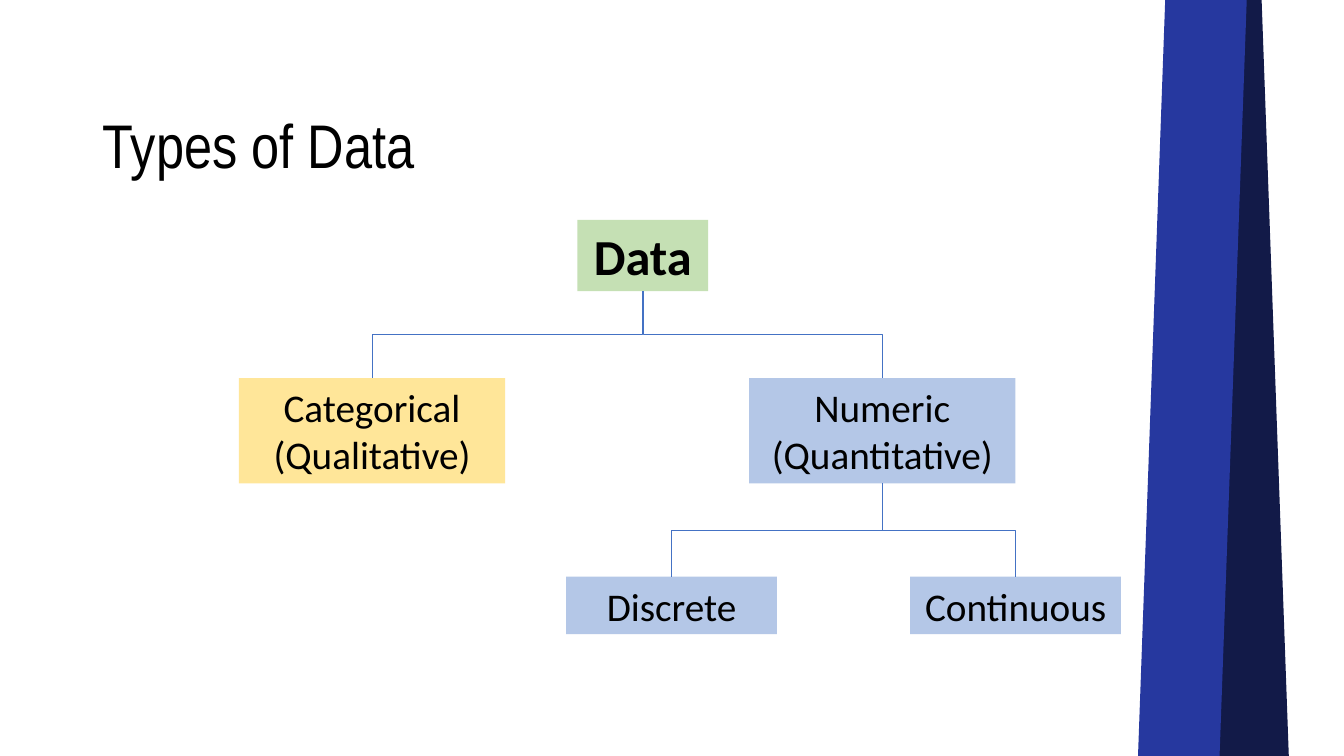
from pptx import Presentation
from pptx.dml.color import RGBColor
from pptx.enum.shapes import MSO_CONNECTOR as CONNECTOR, MSO_SHAPE as SHAPE
from pptx.enum.text import MSO_ANCHOR as ANCHOR, PP_ALIGN as ALIGN
from pptx.oxml.ns import qn
from pptx.oxml.xmlchemy import OxmlElement
from pptx.util import Cm, Pt

BLACK = RGBColor(0x00, 0x00, 0x00)
NAVY = RGBColor(0x12, 0x1A, 0x48)
ROYAL = RGBColor(0x26, 0x38, 0x9F)
GREEN = RGBColor(0xC5, 0xE0, 0xB4)
YELLOW = RGBColor(0xFF, 0xE6, 0x99)
BLUE = RGBColor(0xB4, 0xC7, 0xE7)
LINE = RGBColor(0x44, 0x72, 0xC4)

SLIDE_HEIGHT = Cm(19.05)
BRANCH_TOP, BRANCH_WIDTH, BRANCH_HEIGHT = 9.53, 6.71, 2.65
LEAF_TOP, LEAF_WIDTH, LEAF_HEIGHT = 14.53, 5.31, 1.45


def add_filled(slide, kind, left, top, width, height, color):
    filled = slide.shapes.add_shape(kind, left, top, width, height)
    filled.shadow.inherit = False
    filled.fill.solid()
    filled.fill.fore_color.rgb = color
    filled.line.fill.background()
    return filled


def add_ribbon(slide, left, color, mirrored=False):
    ribbon = add_filled(slide, SHAPE.PARALLELOGRAM, Cm(left), 0, Cm(2.74), SLIDE_HEIGHT, color)
    if mirrored:
        ribbon.rotation = 180
        ribbon._element.spPr.find(qn("a:xfrm")).set("flipH", "1")


def write_lines(frame, lines, font_name, size, bold=False, align=ALIGN.LEFT, spacing=None):
    frame.word_wrap = True
    frame.text = "\n".join(lines)
    for paragraph in frame.paragraphs:
        paragraph.alignment = align
        paragraph.line_spacing = spacing
        paragraph.font.name = font_name
        paragraph.font.size = Pt(size)
        paragraph.font.bold = bold
        paragraph.font.color.rgb = BLACK


def add_title(slide, title):
    heading = slide.shapes.add_textbox(Cm(2.34), Cm(1.02), Cm(29.21), Cm(3.68))
    write_lines(heading.text_frame, [title], "Arial Narrow", 44, spacing=0.9)
    heading.text_frame.vertical_anchor = ANCHOR.BOTTOM


def add_node(slide, lines, left, top, width, height, color, size=28, bold=False):
    node = add_filled(slide, SHAPE.RECTANGLE, Cm(left), Cm(top), Cm(width), Cm(height), color)
    write_lines(node.text_frame, lines, "Calibri", size, bold, ALIGN.CENTER)
    node.text_frame.vertical_anchor = ANCHOR.MIDDLE
    return node


def add_branch(slide, lines, left, color):
    return add_node(slide, lines, left, BRANCH_TOP, BRANCH_WIDTH, BRANCH_HEIGHT, color)


def add_leaf(slide, label, left):
    return add_node(slide, [label], left, LEAF_TOP, LEAF_WIDTH, LEAF_HEIGHT, BLUE)


def link(slide, parent, child):
    start_x, start_y = parent.left + parent.width // 2, parent.top + parent.height
    end_x, end_y = child.left + child.width // 2, child.top
    elbow = slide.shapes.add_connector(CONNECTOR.ELBOW, start_x, start_y, end_x, end_y)
    elbow.begin_connect(parent, 2)
    elbow.end_connect(child, 0)
    elbow.line.color.rgb = LINE
    elbow.line.width = Pt(0.5)
    properties = elbow._element.spPr
    properties.append(OxmlElement("a:effectLst"))

    drop, spread = end_y - start_y, abs(end_x - start_x)
    elbow.left = (start_x + end_x - drop) // 2
    elbow.top = (start_y + end_y - spread) // 2
    elbow.width, elbow.height = drop, spread
    transform = properties.find(qn("a:xfrm"))
    goes_right = end_x > start_x
    transform.set("rot", str((270 if goes_right else 90) * 60000))
    transform.set("flipH", "1" if goes_right else "0")


def main():
    deck = Presentation()
    deck.slide_width, deck.slide_height = Cm(33.87), SLIDE_HEIGHT
    slide = deck.slides.add_slide(deck.slide_layouts[6])

    add_ribbon(slide, 29.74, NAVY, mirrored=True)
    add_ribbon(slide, 28.68, ROYAL)
    add_title(slide, "Types of Data")

    data = add_node(slide, ["Data"], 14.55, 5.54, 3.3, 1.8, GREEN, size=36, bold=True)
    categorical = add_branch(slide, ["Categorical", "(Qualitative)"], 6.02, YELLOW)
    numeric = add_branch(slide, ["Numeric", "(Quantitative)"], 18.88, BLUE)
    discrete = add_leaf(slide, "Discrete", 14.27)
    continuous = add_leaf(slide, "Continuous", 22.94)

    for parent, children in ((data, (categorical, numeric)), (numeric, (discrete, continuous))):
        for child in children:
            link(slide, parent, child)

    deck.save("out.pptx")


if __name__ == "__main__":
    main()
